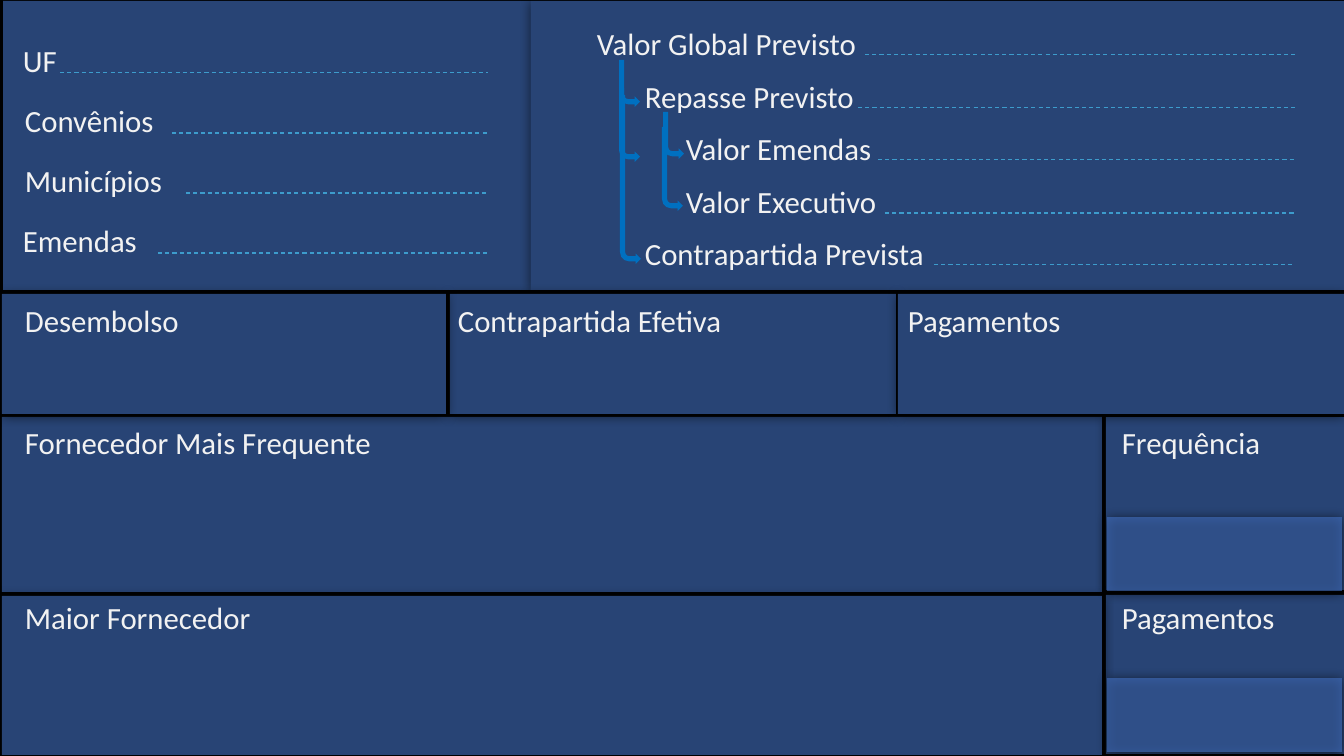
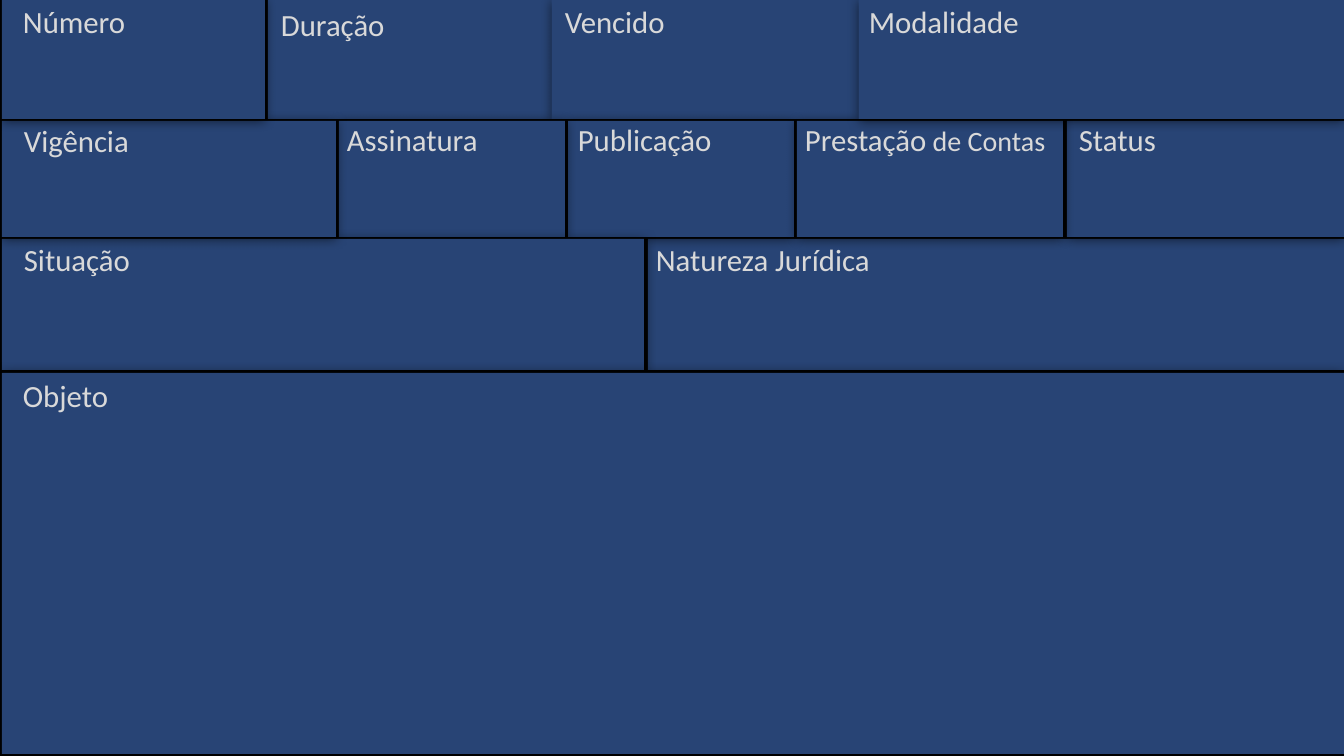
"""Build two dark dashboard slides of labelled panels for public agreements."""
from lxml.etree import SubElement
from pptx import Presentation
from pptx.dml.color import RGBColor
from pptx.enum.dml import MSO_LINE
from pptx.enum.shapes import MSO_CONNECTOR, MSO_SHAPE
from pptx.enum.text import MSO_ANCHOR
from pptx.oxml.ns import qn
from pptx.util import Emu, Pt

COLORS = {
    "background": "000000",
    "panel": "4472C4",
    "shadow": "000000",
    "arrow": "0070C0",
    "leader": "3D9CCC",
    "bright": "F2F2F2",
    "soft": "D9D9D9",
}
FONT = "Calibri"
SLIDE_WIDTH, SLIDE_HEIGHT = 1344, 756
SCALE = 12192000 / SLIDE_WIDTH


def px(length):
    return Emu(round(length * SCALE))


def color(name):
    return RGBColor.from_string(COLORS[name])


def write_run(paragraph, text, size=22, color_name="bright"):
    run = paragraph.add_run()
    run.text = text
    run.font.name = FONT
    run.font.size = Pt(size)
    run.font.color.rgb = color(color_name)


class Board:
    def __init__(self):
        self.presentation = Presentation()
        self.presentation.slide_width = px(SLIDE_WIDTH)
        self.presentation.slide_height = px(SLIDE_HEIGHT)
        self.slide = None
        self.text_color = None

    def new_slide(self, text_color):
        self.slide = self.presentation.slides.add_slide(self.presentation.slide_layouts[6])
        self.slide.background.fill.solid()
        self.slide.background.fill.fore_color.rgb = color("background")
        self.text_color = text_color

    def shape(self, kind, box, fill):
        shape = self.slide.shapes.add_shape(kind, *map(px, box))
        shape.fill.solid()
        shape.fill.fore_color.rgb = color(fill)
        shape.line.fill.background()
        shape.shadow.inherit = False
        return shape

    def panel(self, left, top, width, height):
        shape = self.shape(MSO_SHAPE.RECTANGLE, (left, top, width, height), "panel")
        properties = shape._element.spPr
        fill_color = properties.find(qn("a:solidFill")).find(qn("a:srgbClr"))
        SubElement(fill_color, qn("a:alpha"), val="60000")
        shadow = SubElement(
            properties.find(qn("a:effectLst")), qn("a:outerShdw"),
            blurRad=str(Pt(8.5)), dist=str(Pt(1)), dir="5400000", algn="t", rotWithShape="0",
        )
        SubElement(shadow, qn("a:srgbClr"), val=COLORS["shadow"])

    def arrow(self, left, top, height):
        shape = self.shape(MSO_SHAPE.BENT_ARROW, (left, top, 21, height), "arrow")
        shape._element.spPr.find(qn("a:xfrm")).set("flipV", "1")

    def label(self, text, left, top, width, height=31):
        box = self.slide.shapes.add_textbox(*map(px, (left, top, width, height)))
        frame = box.text_frame
        frame.word_wrap = True
        frame.vertical_anchor = MSO_ANCHOR.MIDDLE
        paragraph = frame.paragraphs[0]
        write_run(paragraph, text, color_name=self.text_color)
        return paragraph

    def leader(self, start, end, y):
        line = self.slide.shapes.add_connector(
            MSO_CONNECTOR.STRAIGHT, px(start), px(y), px(end), px(y))
        line.line.color.rgb = color("leader")
        line.line.width = Pt(0.75)
        line.line.dash_style = MSO_LINE.DASH
        SubElement(line._element.spPr, qn("a:effectLst"))

    def fields(self, rows, top, step, leader_end, leader_drop):
        for index, (text, left, width, leader_start) in enumerate(rows):
            row_top = top + round(index * step)
            self.label(text, left, row_top, width)
            self.leader(leader_start, leader_end, row_top + leader_drop)


def build_values_slide(board):
    board.new_slide("bright")
    overview, payments = (1, 289), (294, 120)
    for left, (top, height), width in (
        (3, overview, 528), (531, overview, 813),
        (2, (417, 175), 1100), (1106, (417, 173), 238), (1106, (595, 159), 238),
        (450, payments, 446), (2, payments, 444), (898, payments, 446),
        (2, (596, 159), 1100),
    ):
        board.panel(left, top, width, height)

    for text, left, top, width in (
        ("Desembolso", 15, 305, 432),
        ("Contrapartida Efetiva", 448, 305, 447),
        ("Pagamentos", 898, 305, 444),
        ("Fornecedor Mais Frequente", 15, 427, 482),
        ("Frequência", 1112, 427, 224),
        ("Maior Fornecedor", 15, 602, 488),
        ("Pagamentos", 1112, 602, 224),
    ):
        board.label(text, left, top, width)

    for left, top, height in (
        (619, 60, 47), (619, 88, 74), (663, 112, 47), (662, 127, 84), (620, 95, 169),
    ):
        board.arrow(left, top, height)

    board.fields((
        ("UF", 13, 81, 60),
        ("Convênios", 15, 196, 172),
        ("Municípios", 15, 205, 186),
        ("Emendas", 13, 177, 158),
    ), top=45, step=60, leader_end=488, leader_drop=28)
    board.fields((
        ("Valor Global Previsto", 587, 369, 865),
        ("Repasse Previsto", 635, 299, 858),
        ("Valor Emendas", 676, 270, 878),
        ("Valor Executivo", 676, 279, 885),
        ("Contrapartida Prevista", 635, 393, 934),
    ), top=28, step=52.6, leader_end=1295, leader_drop=27)

    for top in (517, 678):
        board.panel(1107, top, 235, 74)


def build_details_slide(board):
    board.new_slide("soft")
    contract, dates, status, purpose = (0, 119), (121, 116), (239, 131), (373, 381)
    for left, (top, height), width in (
        (268, contract, 284), (552, contract, 307), (648, status, 696),
        (1067, dates, 277), (568, dates, 226), (797, dates, 266), (339, dates, 226),
        (859, contract, 485), (2, status, 642), (2, purpose, 1342),
        (2, dates, 334), (2, contract, 263),
    ):
        board.panel(left, top, width, height)

    for text, left, top, width in (
        ("Número", 13, 6, 129),
        ("Vencido", 555, 6, 236),
        ("Modalidade", 859, 6, 205),
        ("Vigência", 14, 125, 322),
        ("Assinatura", 337, 124, 223),
        ("Publicação", 568, 124, 224),
        ("Status", 1069, 124, 273),
        ("Situação", 14, 244, 205),
        ("Natureza Jurídica", 646, 244, 258),
        ("Objeto", 13, 380, 205),
    ):
        board.label(text, left, top, width)
    board.label("Duração", 271, 6, 176, height=36)
    accounts = board.label("Prestação", 795, 124, 266)
    write_run(accounts, " de Contas", size=20, color_name="soft")


def main():
    board = Board()
    build_values_slide(board)
    build_details_slide(board)
    board.presentation.save("out.pptx")


if __name__ == "__main__":
    main()
